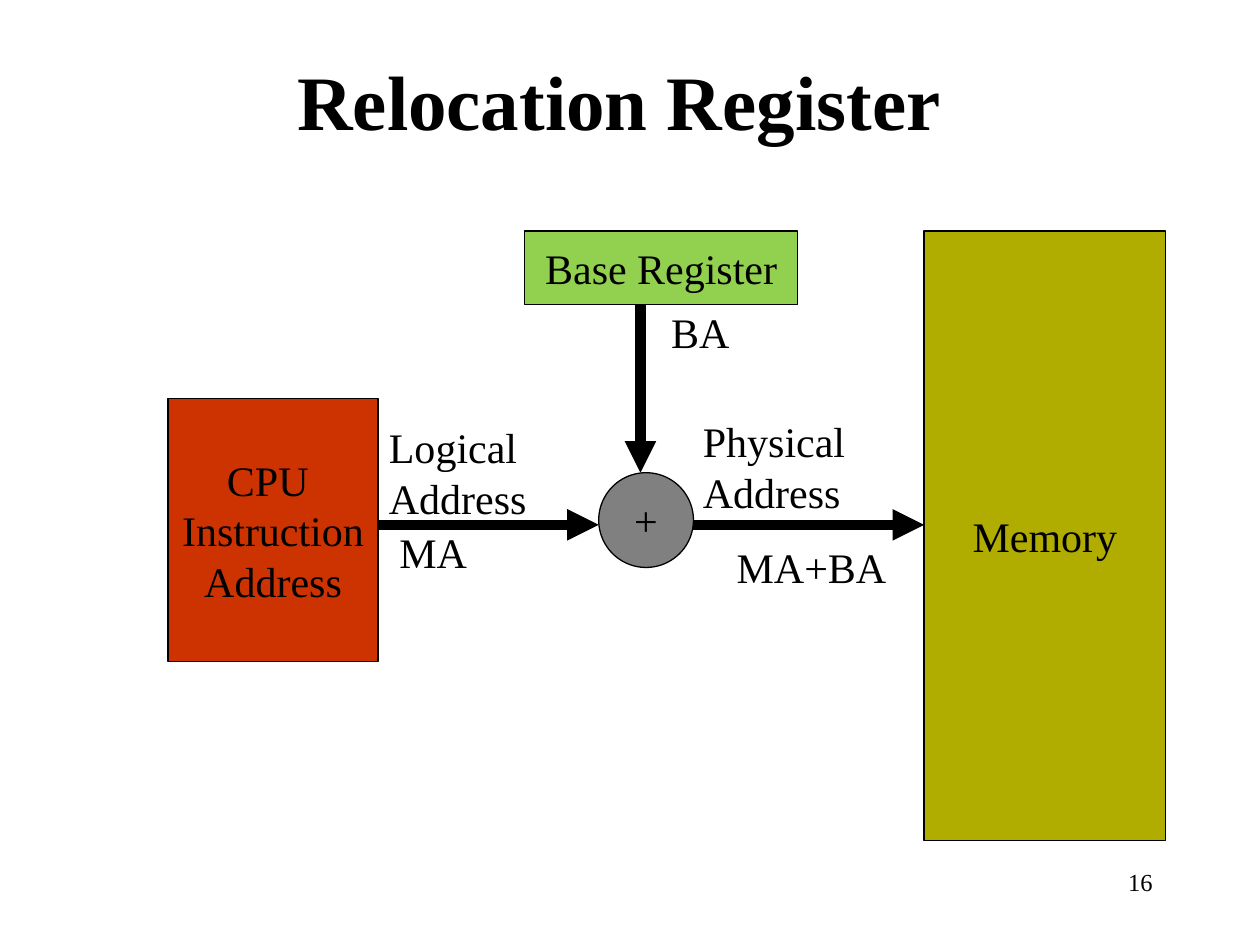
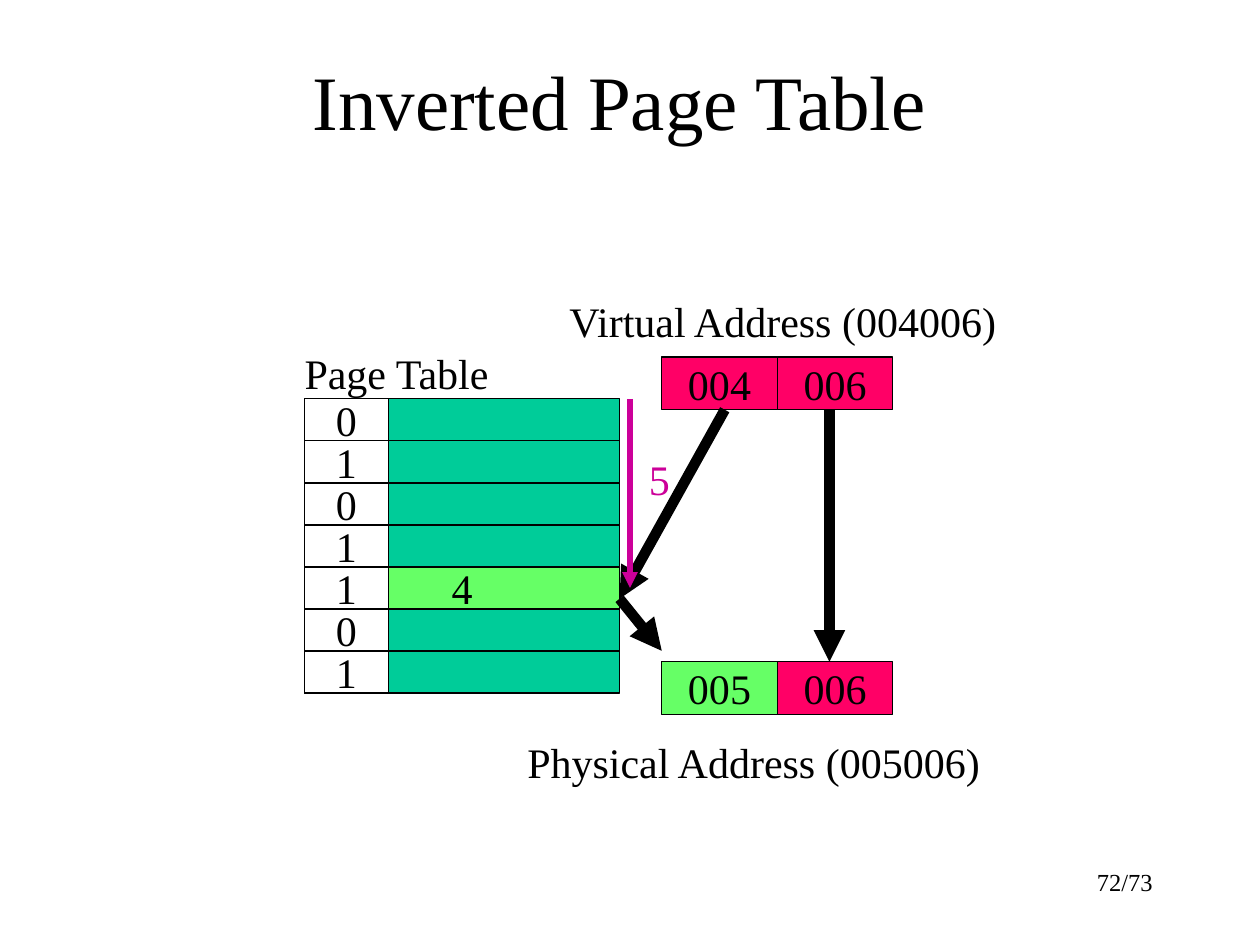
from dataclasses import dataclass

from lxml import etree
from pptx import Presentation
from pptx import util as u
from pptx.dml.color import RGBColor
from pptx.enum import shapes, text
from pptx.oxml import ns

# Shared style
FONT = "Times New Roman"
TITLE_SIZE, BODY_SIZE, NUMBER_SIZE = 44, 24, 14

BLACK = RGBColor(0x00, 0x00, 0x00)
WHITE = RGBColor(0xFF, 0xFF, 0xFF)
GRAY = RGBColor(0x80, 0x80, 0x80)
OLIVE = RGBColor(0xB0, 0xAC, 0x00)
LEAF = RGBColor(0x92, 0xD0, 0x50)
BRICK = RGBColor(0xCC, 0x33, 0x00)
PINK = RGBColor(0xFF, 0x00, 0x66)
LIME = RGBColor(0x66, 0xFF, 0x66)
TEAL = RGBColor(0x00, 0xCC, 0x99)
MAGENTA = RGBColor(0xCC, 0x00, 0x99)

RECTANGLE = shapes.MSO_SHAPE.RECTANGLE
OVAL = shapes.MSO_SHAPE.OVAL


# Repeated elements, all lengths in centimetres
@dataclass
class Box:
    words: str
    left: float
    top: float
    width: float
    height: float
    fill: RGBColor
    outline: shapes.MSO_SHAPE = RECTANGLE


@dataclass
class Label:
    words: str
    left: float
    top: float
    width: float
    height: float = 1.27
    color: RGBColor = BLACK


@dataclass
class Arrow:
    start: tuple[float, float]
    end: tuple[float, float]
    color: RGBColor = BLACK
    weight: float = 6


def write(shape, words: str, *, size: float = BODY_SIZE, color: RGBColor = BLACK,
          bold: bool = False, align=text.PP_ALIGN.LEFT,
          anchor=text.MSO_ANCHOR.TOP, wrap: bool = False,
          fit=text.MSO_AUTO_SIZE.NONE) -> None:
    """Fill a shape with text, one paragraph per line."""
    frame = shape.text_frame
    frame.text = words
    frame.word_wrap = wrap
    frame.auto_size = fit
    frame.vertical_anchor = anchor
    for paragraph in frame.paragraphs:
        paragraph.alignment = align
        for run in paragraph.runs:
            run.font.name = FONT
            run.font.size = u.Pt(size)
            run.font.bold = bold
            run.font.color.rgb = color


def add_box(slide, box: Box) -> None:
    shape = slide.shapes.add_shape(box.outline, u.Cm(box.left), u.Cm(box.top),
                                   u.Cm(box.width), u.Cm(box.height))
    shape.shadow.inherit = False
    shape.fill.solid()
    shape.fill.fore_color.rgb = box.fill
    shape.line.color.rgb = BLACK
    shape.line.width = u.Pt(0.75)
    if box.words:
        write(shape, box.words, align=text.PP_ALIGN.CENTER,
              anchor=text.MSO_ANCHOR.MIDDLE)


def add_label(slide, label: Label) -> None:
    shape = slide.shapes.add_textbox(u.Cm(label.left), u.Cm(label.top),
                                     u.Cm(label.width), u.Cm(label.height))
    write(shape, label.words, color=label.color,
          fit=text.MSO_AUTO_SIZE.SHAPE_TO_FIT_TEXT)


def add_arrow(slide, arrow: Arrow) -> None:
    points = [u.Cm(value) for value in (*arrow.start, *arrow.end)]
    connector = slide.shapes.add_connector(shapes.MSO_CONNECTOR.STRAIGHT, *points)
    connector.line.color.rgb = arrow.color
    connector.line.width = u.Pt(arrow.weight)
    etree.SubElement(connector.line._get_or_add_ln(), ns.qn("a:tailEnd"), type="triangle")
    etree.SubElement(connector._element.spPr, ns.qn("a:effectLst"))


def add_slide(presentation, title: str, number: str, *, bold: bool = False):
    """Add a slide with its title and page number."""
    slide = presentation.slides.add_slide(presentation.slide_layouts[5])
    heading = slide.shapes.title
    heading.left, heading.top = u.Cm(1.69), u.Cm(0.42)
    heading.width, heading.height = u.Cm(21.59), u.Cm(3.18)
    write(heading, title, size=TITLE_SIZE, bold=bold, wrap=True,
          align=text.PP_ALIGN.CENTER, anchor=text.MSO_ANCHOR.MIDDLE)
    page = slide.shapes.add_textbox(u.Cm(18.2), u.Cm(17.36), u.Cm(5.29), u.Cm(1.27))
    write(page, number, size=NUMBER_SIZE, align=text.PP_ALIGN.RIGHT, wrap=True)
    return slide


def draw(slide, boxes: list[Box], arrows: list[Arrow], labels: list[Label]) -> None:
    for box in boxes:
        add_box(slide, box)
    for arrow in arrows:
        add_arrow(slide, arrow)
    for label in labels:
        add_label(slide, label)


def relocation_register(presentation) -> None:
    slide = add_slide(presentation, "Relocation Register", "16", bold=True)
    memory = Box("Memory", 18.63, 4.66, 4.87, 12.28, OLIVE)
    base = Box("Base Register", 10.58, 4.66, 5.5, 1.48, LEAF)
    cpu = Box("CPU \nInstruction\nAddress", 3.39, 8.04, 4.23, 5.29, BRICK)
    adder = Box("+", 12.07, 9.53, 1.91, 1.91, GRAY, OVAL)
    flow_y, base_x = 10.58, 12.91
    arrows = [
        Arrow((cpu.left + cpu.width, flow_y), (adder.left, flow_y)),
        Arrow((adder.left + adder.width, flow_y), (memory.left, flow_y)),
        Arrow((base_x, base.top + base.height), (base_x, adder.top)),
    ]
    labels = [
        Label("BA", 13.28, 6.05, 1.75),
        Label("MA", 7.8, 10.49, 1.95),
        Label("MA+BA", 14.6, 10.8, 3.6),
        Label("Physical\nAddress", 13.92, 8.26, 3.45, 2.29),
        Label("Logical\nAddress", 7.59, 8.38, 3.35, 2.29),
    ]
    draw(slide, [memory, base, cpu, adder], arrows, labels)


def inverted_page_table(presentation) -> None:
    slide = add_slide(presentation, "Inverted Page Table", "72/73")

    # Virtual and physical addresses: page part, then offset part
    part_left, part_width, part_height = 13.34, 2.33, 1.06
    virtual_top, physical_top = 7.2, 13.34
    address_parts = [
        (virtual_top, [("004", PINK), ("006", PINK)]),
        (physical_top, [("005", LIME), ("006", PINK)]),
    ]
    boxes = [
        Box(words, part_left + column * part_width, top, part_width, part_height, fill)
        for top, parts in address_parts
        for column, (words, fill) in enumerate(parts)
    ]

    # Page table: a flag in front of each entry, one entry matching
    flags, matching_row = "0101101", 4
    table_left, table_top, table_width, table_height = 6.14, 8.04, 6.35, 5.93
    flag_width, row_height = 1.69, table_height / len(flags)
    for row, flag in enumerate(flags):
        top = table_top + row * row_height
        words, fill = ("4", LIME) if row == matching_row else ("", TEAL)
        boxes.append(Box(words, table_left, top, table_width, row_height, fill))
        boxes.append(Box(flag, table_left, top, flag_width, row_height, WHITE))

    # Lookup path, offset copy and the count down the table
    virtual_bottom = virtual_top + part_height
    match = (table_left + table_width, 12.07)
    offset_x, count_x = 16.72, 12.7
    arrows = [
        Arrow((offset_x, virtual_bottom), (offset_x, physical_top)),
        Arrow((14.61, virtual_bottom), match),
        Arrow(match, (part_left, 13.12)),
        Arrow((count_x, table_top), (count_x, 11.85), MAGENTA, 3),
    ]
    labels = [
        Label("Page Table", 5.89, 6.89, 4.35),
        Label("Virtual Address (004006)", 11.23, 5.84, 9.25),
        Label("Physical Address (005006)", 10.38, 14.73, 9.75),
        Label("5", 12.83, 9.02, 0.95, color=MAGENTA),
    ]
    draw(slide, boxes, arrows, labels)


def main() -> None:
    presentation = Presentation()
    presentation.slide_width, presentation.slide_height = u.Cm(25.4), u.Cm(19.05)
    relocation_register(presentation)
    inverted_page_table(presentation)
    presentation.save("out.pptx")


if __name__ == "__main__":
    main()
